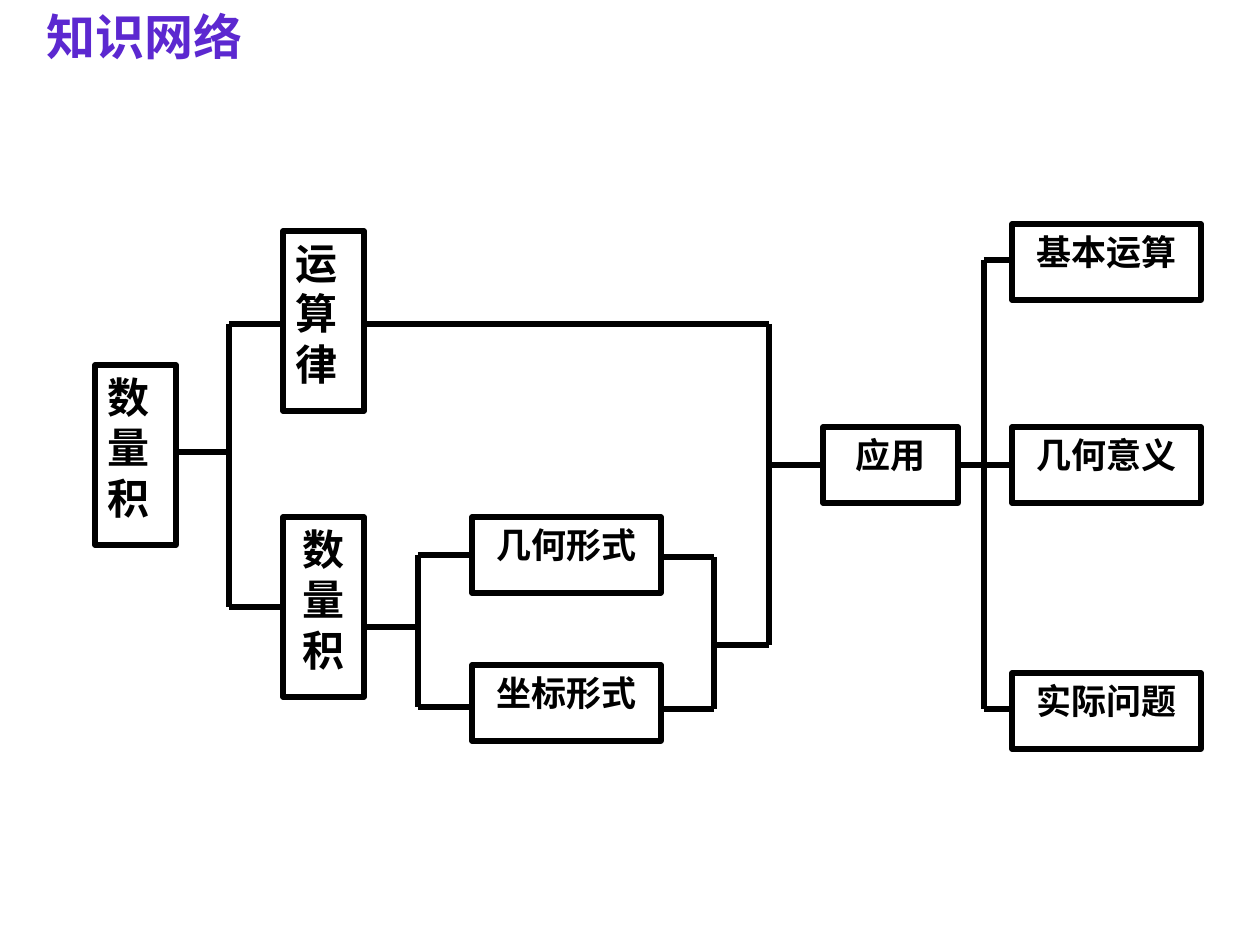
import pptx
import pptx.dml.color
import pptx.enum.shapes
import pptx.enum.text
import pptx.oxml.ns
import pptx.util
from dataclasses import dataclass
from lxml import etree

Align = pptx.enum.text.PP_ALIGN
Kind = pptx.enum.shapes


@dataclass(frozen=True)
class Theme:
    font: str = "Times New Roman"
    title: str = "5C28D0"
    ink: str = "000000"
    head: int = 28
    tall: int = 24
    wide: int = 20
    line: int = 3


THEME = Theme()
SCALE = 914400 / 126
TALL, WIDE, SHORT = (81, 180), (189, 76), (135, 76)

TITLE = ("知识网络", 34, 0, 372, 72)

# text, left, top, (width, height), type size, alignment
BOXES = [
    ("数量积", 95, 365, TALL, THEME.tall, Align.JUSTIFY),
    ("运算律", 283, 231, TALL, THEME.tall, Align.JUSTIFY),
    ("数量积", 283, 517, TALL, THEME.tall, Align.CENTER),
    ("几何形式", 472, 517, WIDE, THEME.wide, Align.CENTER),
    ("坐标形式", 472, 665, WIDE, THEME.wide, Align.CENTER),
    ("应用", 823, 427, SHORT, THEME.wide, Align.CENTER),
    ("基本运算", 1012, 224, WIDE, THEME.wide, Align.CENTER),
    ("几何意义", 1012, 427, WIDE, THEME.wide, Align.CENTER),
    ("实际问题", 1012, 673, WIDE, THEME.wide, Align.CENTER),
]

# x of each upright, and the far ends of the branches that meet it
FORKS = [
    (229, [(176, 452), (283, 324), (283, 607)]),
    (418, [(364, 627), (472, 555), (472, 707)]),
    (714, [(661, 557), (661, 709)]),
    (769, [(364, 324), (714, 645), (823, 465)]),
    (984, [(958, 465), (1012, 260), (1012, 465), (1012, 709)]),
]


def emu(*px):
    return [pptx.util.Emu(round(n * SCALE)) for n in px]


def color(code):
    return pptx.dml.color.RGBColor.from_string(code)


def write(shape, text, size, code, align):
    frame = shape.text_frame
    frame.word_wrap = True
    frame.vertical_anchor = pptx.enum.text.MSO_ANCHOR.TOP
    frame.text = text
    para = frame.paragraphs[0]
    para.alignment = align
    font = para.runs[0].font
    font.name, font.size, font.bold = THEME.font, pptx.util.Pt(size), True
    font.color.rgb = color(code)


def stroke(shape):
    shape.line.color.rgb = color(THEME.ink)
    shape.line.width = pptx.util.Pt(THEME.line)


def add_box(slide, text, left, top, dims, size, align):
    box = slide.shapes.add_shape(
        Kind.MSO_SHAPE.RECTANGLE, *emu(left, top, *dims))
    box.shadow.inherit = False
    box.fill.background()
    stroke(box)
    write(box, text, size, THEME.ink, align)
    return box


def add_wire(slide, start, end, sites):
    """Draw a line; join its end where that is the middle of a box side."""
    wire = slide.shapes.add_connector(
        Kind.MSO_CONNECTOR.STRAIGHT, *emu(*start, *end))
    stroke(wire)
    etree.SubElement(wire._element.spPr, pptx.oxml.ns.qn("a:effectLst"))
    if end in sites:
        wire.end_connect(*sites[end])


def main():
    deck = pptx.Presentation()
    deck.slide_width, deck.slide_height = emu(1260, 945)
    slide = deck.slides.add_slide(deck.slide_layouts[6])

    text, *place = TITLE
    title = slide.shapes.add_textbox(*emu(*place))
    write(title, text, THEME.head, THEME.title, Align.LEFT)

    sites = {}
    for text, left, top, dims, size, align in BOXES:
        box = add_box(slide, text, left, top, dims, size, align)
        mid = top + dims[1] // 2
        sites[left, mid] = (box, 1)
        sites[left + dims[0], mid] = (box, 3)

    for x, tips in FORKS:
        rows = [y for _, y in tips]
        add_wire(slide, (x, min(rows)), (x, max(rows)), sites)
        for tip in tips:
            add_wire(slide, (x, tip[1]), tip, sites)

    deck.save("out.pptx")


if __name__ == "__main__":
    main()
